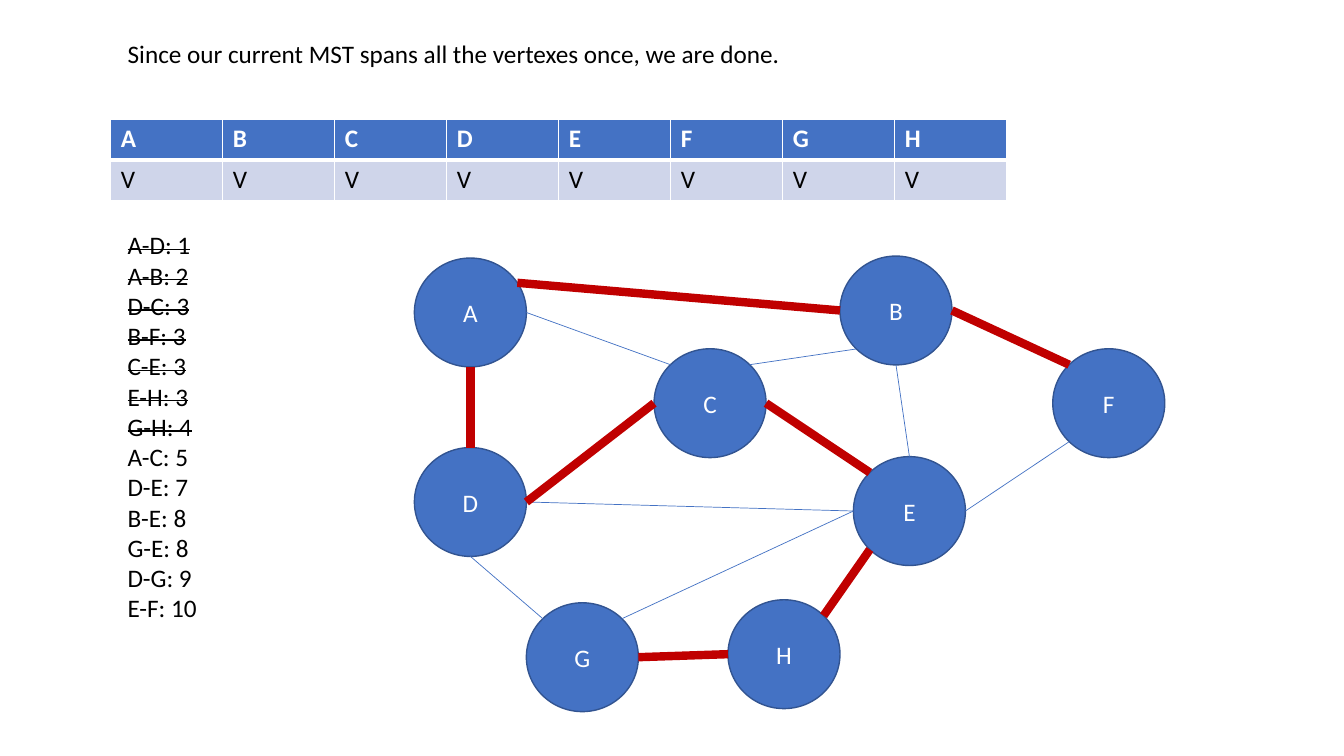
from collections import namedtuple
from dataclasses import dataclass
from math import cos, radians, sin

from lxml.etree import SubElement
from pptx import Presentation
from pptx.dml.color import RGBColor
from pptx.enum.shapes import MSO_CONNECTOR, MSO_SHAPE
from pptx.enum.text import MSO_ANCHOR, MSO_AUTO_SIZE, PP_ALIGN
from pptx.oxml import parse_xml
from pptx.oxml.ns import nsdecls, qn
from pptx.util import Inches, Pt


@dataclass(frozen=True)
class Theme:
    """Colours, font and sizes of the slide."""
    font: str = "Calibri"
    size: int = 18
    ink: str = "000000"
    paper: str = "FFFFFF"
    blue: str = "4472C4"
    rim: str = "325491"
    pale: str = "CFD5EA"
    red: str = "C00000"
    thin: float = 0.5
    edge: int = 1
    rule: int = 3
    thick: int = 6


THEME = Theme()
WIDE, HIGH = Inches(13.33), Inches(7.5)
COLS, ROWS = 120, 75
Box = namedtuple("Box", "x y w h")  # columns and rows of the grid

NODE_W, NODE_H = 10, 10.8
NODES = {  # left and top inside the graph box
    "A": (0, 0.2), "D": (0, 19), "G": (10, 34.4), "C": (21.4, 9.2),
    "B": (38, 0), "E": (39.2, 19.9), "H": (28, 34.1), "F": (57, 9.2),
}
# Node and clockwise angle (0 is right) at each end
TREE = [("A", -33, "B", 180), ("A", 90, "D", 270), ("G", 0, "H", 180),
        ("H", 315, "E", 135), ("B", 0, "F", 225), ("D", 0, "C", 180),
        ("C", 0, "E", 225)]
REST = [("A", 0, "C", 225), ("D", 90, "G", 225), ("E", 0, "F", 135),
        ("B", 90, "E", 270), ("C", 315, "B", 135), ("D", 0, "E", 180),
        ("G", 315, "E", 180)]
USED = ["A-D: 1", "A-B: 2", "D-C: 3", "B-F: 3", "C-E: 3", "E-H: 3", "G-H: 4"]
LEFT = ["A-C: 5", "D-E: 7", "B-E: 8", "G-E: 8", "D-G: 9", "E-F: 10"]


def col(n):
    """Turn grid columns into a length."""
    return round(WIDE * n / COLS)


def row(n):
    """Turn grid rows into a length."""
    return round(HIGH * n / ROWS)


def place(box):
    """Turn a grid box into left, top, width and height."""
    return col(box.x), row(box.y), col(box.w), row(box.h)


def rgb(tone):
    """Make a colour from its hex code."""
    return RGBColor.from_string(tone)


def write(para, text, tone=THEME.ink, bold=False, strike=False):
    """Add one styled run to a paragraph."""
    run = para.add_run()
    run.text = text
    font = run.font
    font.name, font.size, font.bold = THEME.font, Pt(THEME.size), bold
    font.color.rgb = rgb(tone)
    if strike:
        run._r.get_or_add_rPr().set("strike", "sngStrike")


def add_title(slide, box, text):
    """Move and fill the title placeholder."""
    title = slide.shapes.title
    title.left, title.top, title.width, title.height = place(box)
    frame = title.text_frame
    frame.word_wrap, frame.auto_size = True, MSO_AUTO_SIZE.NONE
    frame.vertical_anchor = MSO_ANCHOR.TOP
    para = frame.paragraphs[0]
    para.alignment = PP_ALIGN.LEFT
    write(para, text)


def add_list(slide, box):
    """List the edges by weight, striking those in the tree."""
    frame = slide.shapes.add_textbox(*place(box)).text_frame
    frame.word_wrap = True
    for i, text in enumerate(USED + LEFT):
        para = frame.add_paragraph() if i else frame.paragraphs[0]
        write(para, text, strike=i < len(USED))


def set_rules(cell, head):
    """Draw white cell borders, heavy between head and body."""
    heavy = "lnB" if head else "lnT"
    props = cell._tc.get_or_add_tcPr()
    for i, side in enumerate(("lnL", "lnR", "lnT", "lnB")):
        width = Pt(THEME.rule if side == heavy else THEME.edge)
        props.insert(i, parse_xml(
            f'<a:{side} {nsdecls("a")} w="{width}"><a:solidFill>'
            f'<a:srgbClr val="{THEME.paper}"/></a:solidFill></a:{side}>'))


def add_marks(slide, box):
    """Show in a table which vertices are reached."""
    names = sorted(NODES)
    table = slide.shapes.add_table(2, len(names), *place(box)).table
    for part in table.columns:
        part.width = col(box.w / len(names))
    for r, line in enumerate(table.rows):
        line.height = row(box.h / 2)
        head = r == 0
        for name, cell in zip(names, line.cells):
            cell.fill.solid()
            cell.fill.fore_color.rgb = rgb(THEME.blue if head else THEME.pale)
            set_rules(cell, head)
            write(cell.text_frame.paragraphs[0], name if head else "V",
                  THEME.paper if head else THEME.ink, bold=head)


def add_node(slide, box, name):
    """Draw one vertex and return its shape."""
    node = slide.shapes.add_shape(MSO_SHAPE.OVAL, *place(box))
    node.shadow.inherit = False
    node.fill.solid()
    node.fill.fore_color.rgb = rgb(THEME.blue)
    node.line.color.rgb = rgb(THEME.rim)
    node.line.width = Pt(THEME.edge)
    node.text_frame.vertical_anchor = MSO_ANCHOR.MIDDLE
    para = node.text_frame.paragraphs[0]
    para.alignment = PP_ALIGN.CENTER
    write(para, name, THEME.paper)
    return node


def rim_point(node, angle):
    """Find the point on a vertex's rim at an angle."""
    turn = radians(angle)
    return (round(node.left + node.width * (1 + cos(turn)) / 2),
            round(node.top + node.height * (1 + sin(turn)) / 2))


def add_edge(slide, ends, tone, width):
    """Join two vertices, gluing ends that meet a connection site."""
    (start, turn), (stop, bend) = ends
    line = slide.shapes.add_connector(
        MSO_CONNECTOR.STRAIGHT, *rim_point(start, turn), *rim_point(stop, bend))
    line.line.color.rgb = rgb(tone)
    line.line.width = Pt(width)
    SubElement(line.element.spPr, qn("a:effectLst"))
    props = line.element.find(".//" + qn("p:cNvCxnSpPr"))
    for tag, (node, angle) in zip(("a:stCxn", "a:endCxn"), ends):
        if angle % 45 == 0:
            SubElement(props, qn(tag), id=str(node.shape_id),
                       idx=str((6 - angle // 45) % 8))


def add_graph(slide, box):
    """Draw the graph with its spanning tree in red."""
    nodes = {name: add_node(slide, Box(box.x + x, box.y + y, NODE_W, NODE_H), name)
             for name, (x, y) in NODES.items()}
    for edges, tone, width in ((REST, THEME.blue, THEME.thin),
                               (TREE, THEME.red, THEME.thick)):
        for a, turn, b, bend in edges:
            add_edge(slide, ((nodes[a], turn), (nodes[b], bend)), tone, width)


def build():
    """Build and save the slide."""
    deck = Presentation()
    deck.slide_width, deck.slide_height = WIDE, HIGH
    slide = deck.slides.add_slide(deck.slide_layouts[5])
    add_title(slide, Box(10.5, 3.3, 96.4, 4),
              "Since our current MST spans all the vertexes once, we are done.")
    add_list(slide, Box(10.5, 22.3, 15, 40.4))
    add_marks(slide, Box(9.9, 11.8, 80, 8.1))
    add_graph(slide, Box(37, 25.4, 67, 45.2))
    deck.save("out.pptx")


build()
